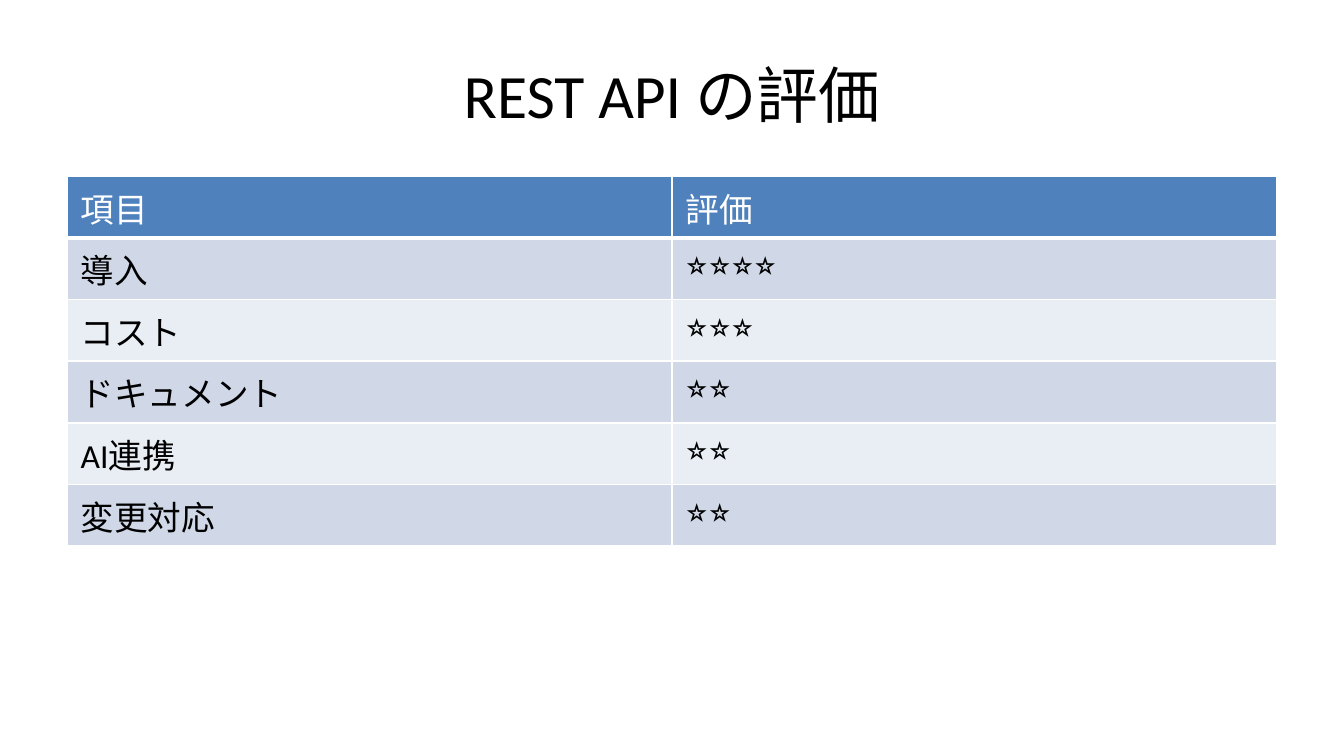
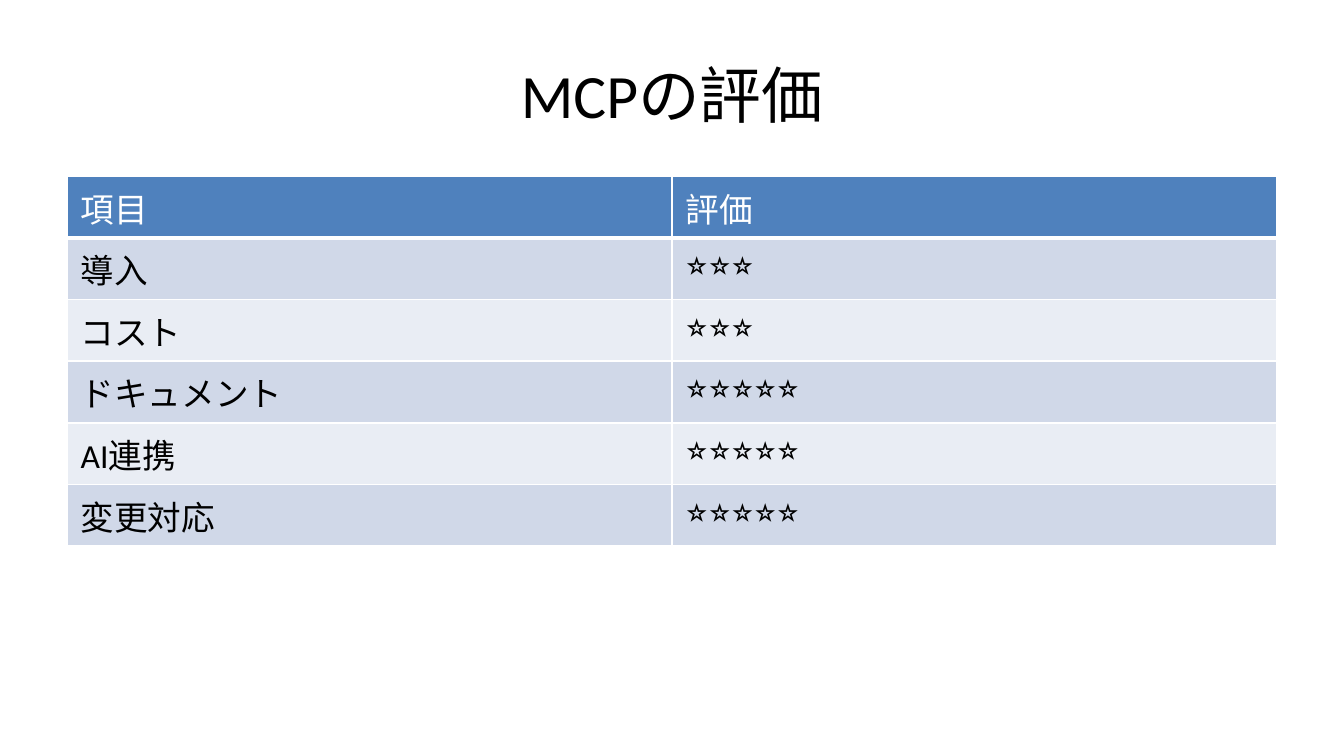
"""Build two slides that rate REST API and MCP on the same criteria."""
from dataclasses import dataclass

from lxml import etree
from pptx import Presentation
from pptx.dml.color import RGBColor
from pptx.enum.text import MSO_ANCHOR, PP_ALIGN
from pptx.oxml.ns import qn
from pptx.slide import Slide
from pptx.table import _Cell
from pptx.text.text import TextFrame
from pptx.util import Emu, Pt

CENTER = PP_ALIGN.CENTER
LEFT = PP_ALIGN.LEFT
MIDDLE = MSO_ANCHOR.MIDDLE
EMU_PER_PX = 9525
BLANK_LAYOUT = 6


@dataclass(frozen=True)
class Theme:
    font: str = "Calibri"
    title_size: int = 33
    cell_size: int = 18
    ink: str = "000000"
    paper: str = "FFFFFF"
    header: str = "4F81BD"
    bands: tuple[str, str] = ("D0D8E8", "E9EDF4")
    border: int = 1
    header_rule: int = 3


@dataclass(frozen=True)
class Box:
    left: int
    top: int
    width: int
    height: int

    def emu(self) -> tuple[Emu, Emu, Emu, Emu]:
        return px(self.left), px(self.top), px(self.width), px(self.height)


@dataclass(frozen=True)
class Evaluation:
    title: str
    stars: tuple[int, ...]


THEME = Theme()
SLIDE_SIZE = (960, 540)
TITLE_BOX = Box(48, 22, 864, 90)
ROW_HEIGHT = 44
HEADINGS = ("項目", "評価")
CRITERIA = ("導入", "コスト", "ドキュメント", "AI連携", "変更対応")
TABLE_BOX = Box(48, 126, 864, ROW_HEIGHT * (len(CRITERIA) + 1))
EVALUATIONS = (
    Evaluation("REST API の評価", (4, 3, 2, 2, 2)),
    Evaluation("MCPの評価", (3, 3, 5, 5, 5)),
)


def px(length: int) -> Emu:
    return Emu(length * EMU_PER_PX)


def write_text(frame: TextFrame, text: str, size: int, color: str, align: PP_ALIGN) -> None:
    frame.text = text
    paragraph = frame.paragraphs[0]
    paragraph.alignment = align
    font = paragraph.runs[0].font
    font.name = THEME.font
    font.size = Pt(size)
    font.bold = False
    font.color.rgb = RGBColor.from_string(color)


def draw_borders(cell: _Cell, bottom: int) -> None:
    properties = cell._tc.get_or_add_tcPr()
    widths = {"lnL": THEME.border, "lnR": THEME.border, "lnT": THEME.border, "lnB": bottom}
    for side, width in widths.items():
        line = etree.SubElement(properties, qn(f"a:{side}"), w=str(Pt(width)))
        fill = etree.SubElement(line, qn("a:solidFill"))
        etree.SubElement(fill, qn("a:srgbClr"), val=THEME.paper)


def fill_cell(cell: _Cell, text: str, row: int) -> None:
    is_header = row == 0
    background = THEME.header if is_header else THEME.bands[(row - 1) % 2]
    write_text(cell.text_frame, text, THEME.cell_size, THEME.paper if is_header else THEME.ink, LEFT)
    draw_borders(cell, THEME.header_rule if is_header else THEME.border)
    cell.fill.solid()
    cell.fill.fore_color.rgb = RGBColor.from_string(background)


def add_title(slide: Slide, title: str) -> None:
    frame = slide.shapes.add_textbox(*TITLE_BOX.emu()).text_frame
    frame.word_wrap = True
    frame.vertical_anchor = MIDDLE
    write_text(frame, title, THEME.title_size, THEME.ink, CENTER)


def add_ratings(slide: Slide, stars: tuple[int, ...]) -> None:
    ratings = [HEADINGS, *((name, "⭐" * count) for name, count in zip(CRITERIA, stars))]
    table = slide.shapes.add_table(len(ratings), len(HEADINGS), *TABLE_BOX.emu()).table
    for row, values in enumerate(ratings):
        for column, value in enumerate(values):
            fill_cell(table.cell(row, column), value, row)


def main() -> None:
    presentation = Presentation()
    presentation.slide_width, presentation.slide_height = map(px, SLIDE_SIZE)
    for evaluation in EVALUATIONS:
        slide = presentation.slides.add_slide(presentation.slide_layouts[BLANK_LAYOUT])
        add_title(slide, evaluation.title)
        add_ratings(slide, evaluation.stars)
    presentation.save("out.pptx")


if __name__ == "__main__":
    main()
